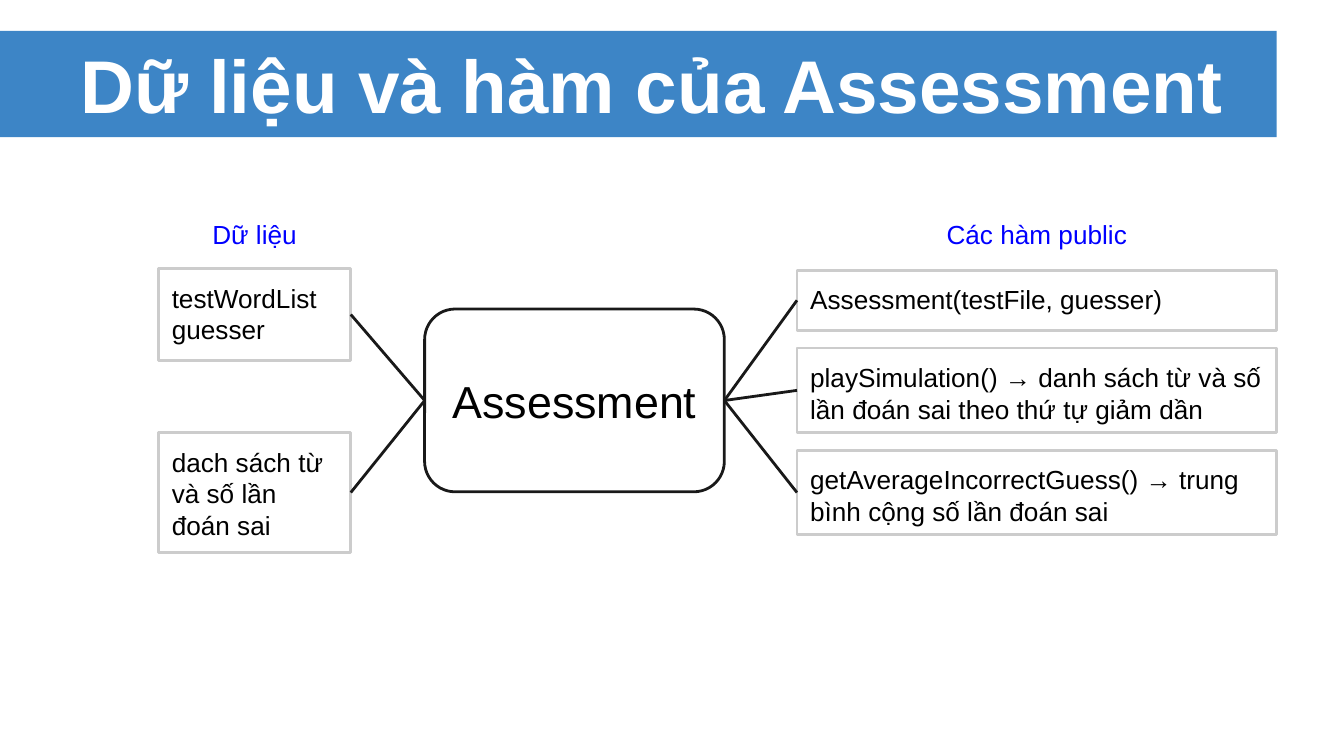
from lxml import etree
from pptx import Presentation
from pptx.dml.color import RGBColor
from pptx.enum.shapes import MSO_CONNECTOR, MSO_SHAPE
from pptx.enum.text import MSO_ANCHOR, MSO_AUTO_SIZE, PP_ALIGN
from pptx.oxml.ns import qn
from pptx.util import Inches, Pt

FONT = "Arial"
BLUE, DARK, GREY = "3D85C6", "191919", "CCCCCC"
LEFT_SITE, RIGHT_SITE = 1, 3  # connection sites of a rectangle


def color(hex_value):
    return RGBColor.from_string(hex_value)


def write(shape, lines, size, font_color="000000", align=PP_ALIGN.LEFT,
          anchor=MSO_ANCHOR.TOP, bold=False):
    frame = shape.text_frame
    frame.word_wrap = True
    frame.auto_size = MSO_AUTO_SIZE.NONE
    frame.vertical_anchor = anchor
    frame.margin_left = frame.margin_right = Inches(0.1)
    frame.margin_top = frame.margin_bottom = Inches(0.1)
    frame.text = "\n".join(lines)
    for paragraph in frame.paragraphs:
        paragraph.alignment = align
        font = paragraph.font
        font.name, font.size, font.bold = FONT, Pt(size), bold
        font.color.rgb = color(font_color)


def add_box(slide, kind, left, top, width, height, fill=None, line=None):
    shape = slide.shapes.add_shape(
        kind, Inches(left), Inches(top), Inches(width), Inches(height))
    shape.shadow.inherit = False
    if fill:
        shape.fill.solid()
        shape.fill.fore_color.rgb = color(fill)
    else:
        shape.fill.background()
    if line:
        shape.line.color.rgb = color(line)
        shape.line.width = Pt(1.5)
    else:
        shape.line.fill.background()
    return shape


def add_title(slide, text, top, height):
    band = add_box(slide, MSO_SHAPE.RECTANGLE, 0, top, 9.5, height, fill=BLUE)
    title = slide.shapes.title
    title.left, title.top = Inches(0.5), Inches(top)
    title.width, title.height = Inches(9), Inches(height)
    write(title, [text], 40, "FFFFFF", anchor=MSO_ANCHOR.MIDDLE, bold=True)
    # Keep the band behind the title
    title.element.addprevious(band.element)


def add_hub(slide, text, left, top, width, height):
    hub = add_box(slide, MSO_SHAPE.ROUNDED_RECTANGLE, left, top, width, height,
                  line=DARK)
    write(hub, [text], 24, align=PP_ALIGN.CENTER, anchor=MSO_ANCHOR.MIDDLE)
    return hub


def add_column(slide, heading, heading_width, left, width, entries):
    """Add a centred heading and its boxes, given as (top, height, lines)."""
    heading_left = left + (width - heading_width) / 2
    label = slide.shapes.add_textbox(
        Inches(heading_left), Inches(1.54), Inches(heading_width), Inches(0.4))
    write(label, [heading], 14, "0000FF", PP_ALIGN.CENTER, MSO_ANCHOR.MIDDLE)
    boxes = []
    for top, height, lines in entries:
        box = add_box(slide, MSO_SHAPE.RECTANGLE, left, top, width, height,
                      line=GREY)
        write(box, lines, 14)
        boxes.append(box)
    return boxes


def connect(slide, start, end):
    """Join the right side of start to the left side of end."""
    connector = slide.shapes.add_connector(MSO_CONNECTOR.STRAIGHT, 0, 0, 0, 0)
    connector.begin_connect(start, RIGHT_SITE)
    connector.end_connect(end, LEFT_SITE)
    connector.line.color.rgb = color(DARK)
    connector.line.width = Pt(1.5)
    etree.SubElement(connector.element.spPr, qn("a:effectLst"))


def main():
    presentation = Presentation()
    # Widescreen, 16:9
    presentation.slide_width = Inches(10)
    presentation.slide_height = Inches(10) * 9 // 16
    slide = presentation.slides.add_slide(presentation.slide_layouts[5])

    add_title(slide, "Dữ liệu và hàm của Assessment", 0.23, 0.79)

    # Class in the middle, data on the left, public functions on the right
    hub = add_hub(slide, "Assessment", 3.16, 2.3, 2.23, 1.36)
    data_boxes = add_column(slide, "Dữ liệu", 1.33, 1.18, 1.43, [
        (2, 0.68, ["testWordList", "guesser"]),
        (3.22, 0.89, ["dach sách từ và số lần đoán sai"]),
    ])
    function_boxes = add_column(slide, "Các hàm public", 2.17, 5.93, 3.57, [
        (2.01, 0.45, ["Assessment(testFile, guesser)"]),
        (2.59, 0.63, ["playSimulation() → danh sách từ và số lần đoán sai "
                      "theo thứ tự giảm dần"]),
        (3.35, 0.63, ["getAverageIncorrectGuess() → trung bình cộng "
                      "số lần đoán sai"]),
    ])

    # Links between the class and its members
    for box in data_boxes:
        connect(slide, box, hub)
    for box in function_boxes:
        connect(slide, hub, box)

    presentation.save("out.pptx")


if __name__ == "__main__":
    main()
